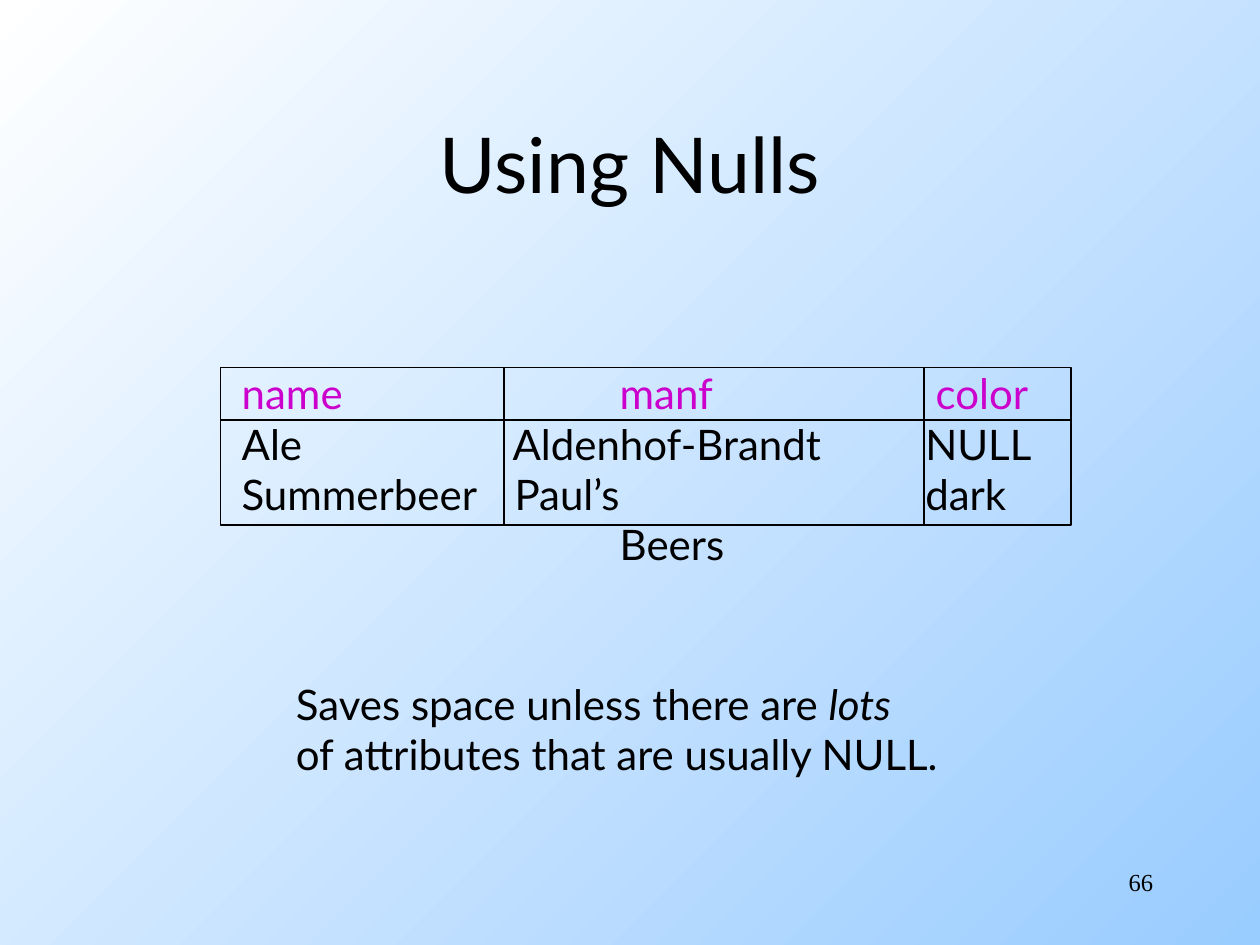
from lxml import etree
from pptx import Presentation
from pptx import util as u
from pptx.dml.color import RGBColor
from pptx.enum import shapes, text
from pptx.oxml.ns import qn

BLACK = RGBColor(0x00, 0x00, 0x00)
WHITE = RGBColor(0xFF, 0xFF, 0xFF)
SKY = RGBColor(0x99, 0xCC, 0xFF)
MAGENTA = RGBColor(0xCC, 0x00, 0xCC)
COLS, ROWS = 120, 90


class Deck:
    font = "Lato"
    size = 24
    line_width = u.Pt(0.75)

    def __init__(self, width, height):
        self.prs = Presentation()
        self.prs.slide_width = u.Inches(width)
        self.prs.slide_height = u.Inches(height)
        self.s = self.prs.slides.add_slide(self.prs.slide_layouts[6])

    def x(self, cols):
        return round(self.prs.slide_width * cols / COLS)

    def y(self, rows):
        return round(self.prs.slide_height * rows / ROWS)

    def box(self, left, top, width, height):
        return self.x(left), self.y(top), self.x(width), self.y(height)

    def background(self, start, end):
        fill = self.s.background.fill
        fill.gradient()
        fill.gradient_angle = 315
        for stop, color, position in zip(fill.gradient_stops, (start, end), (0, 1)):
            stop.color.rgb = color
            stop.position = position

    def text(self, box, paragraphs, size=None, font=None, align=text.PP_ALIGN.LEFT,
             anchor=text.MSO_ANCHOR.TOP, wrap=True):
        tf = self.s.shapes.add_textbox(*self.box(*box)).text_frame
        tf.word_wrap = wrap
        tf.vertical_anchor = anchor
        for i, runs in enumerate(paragraphs):
            p = tf.paragraphs[0] if i == 0 else tf.add_paragraph()
            p.alignment = align
            for words, color, italic in runs:
                r = p.add_run()
                r.text = words
                r.font.name = font or self.font
                r.font.size = u.Pt(size or self.size)
                r.font.color.rgb = color
                r.font.italic = italic
        return tf

    def tabs(self, p, stops):
        tab_list = etree.SubElement(p._p.get_or_add_pPr(), qn("a:tabLst"))
        for stop in stops:
            etree.SubElement(tab_list, qn("a:tab"), pos=str(self.x(stop)), algn="l")

    def frame(self, *box):
        sp = self.s.shapes.add_shape(shapes.MSO_SHAPE.RECTANGLE, *self.box(*box))
        sp.shadow.inherit = False
        sp.fill.background()
        sp.line.color.rgb = BLACK
        sp.line.width = self.line_width

    def line(self, x1, y1, x2, y2):
        sp = self.s.shapes.add_connector(
            shapes.MSO_CONNECTOR.STRAIGHT, self.x(x1), self.y(y1), self.x(x2), self.y(y2))
        sp.line.color.rgb = BLACK
        sp.line.width = self.line_width
        etree.SubElement(sp._element.spPr, qn("a:effectLst"))


deck = Deck(10, 7.5)
deck.background(WHITE, SKY)

deck.text((86, 82, 25, 6), [[("66", BLACK, False)]], size=14,
          font="Times New Roman", align=text.PP_ALIGN.RIGHT)
deck.text((9, 8, 102, 15), [[("Using Nulls", BLACK, False)]], size=44,
          align=text.PP_ALIGN.CENTER, anchor=text.MSO_ANCHOR.MIDDLE)

relation = [
    ("name\tmanf\tcolor", MAGENTA, (36, 66.1)),
    ("Ale\tAldenhof-Brandt\tNULL", BLACK, (25.8, 65.1)),
    ("Summerbeer\tPaul’s\tdark", BLACK, (26, 65.1)),
    ("\tBeers", BLACK, (36,)),
]
tf = deck.text((21.84, 34.44, 78.5, 20.4),
               [[(words, color, False)] for words, color, _ in relation])
for p, (_, _, stops) in zip(tf.paragraphs, relation):
    deck.tabs(p, stops)

left, top, right, bottom = 21, 35, 102, 50
deck.frame(left, top, right - left, bottom - top)
deck.line(left, 40, right, 40)
for column in (48, 88):
    deck.line(column, top, column, bottom)

deck.text((27, 64, 64.2, 10.8), [
    [("Saves space unless there are ", BLACK, False), ("lots", BLACK, True)],
    [("of attributes that are usually NULL.", BLACK, False)],
], wrap=False)

deck.prs.save("out.pptx")
